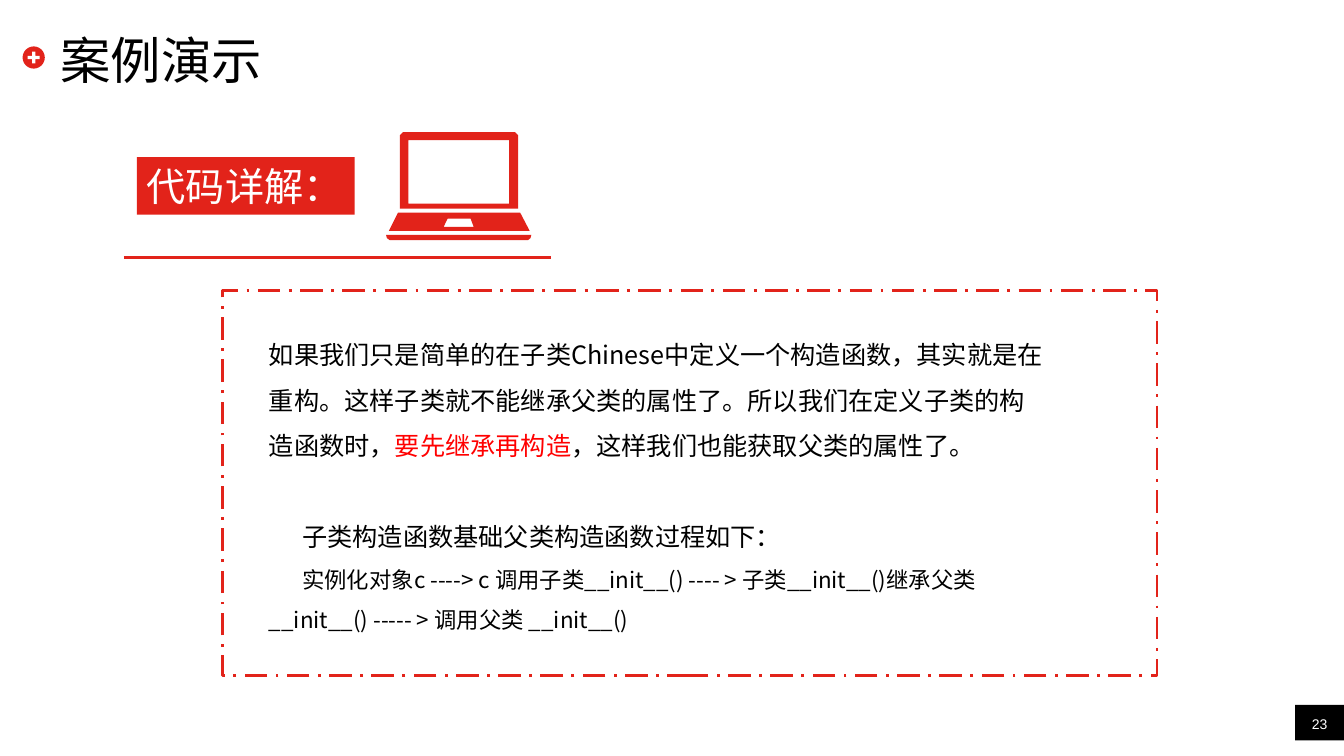
from lxml import etree
from pptx import Presentation
from pptx import util as u
from pptx.dml.color import RGBColor
from pptx.enum import dml, shapes, text
from pptx.oxml.ns import qn

RED = RGBColor(0xE2, 0x23, 0x1A)
ALERT = RGBColor(0xFF, 0, 0)
BLACK = RGBColor(0, 0, 0)
WHITE = RGBColor(0xFF, 0xFF, 0xFF)
CJK = "Noto Sans CJK SC"

deck = Presentation()
deck.slide_width, deck.slide_height = u.Cm(33.87), u.Cm(19.05)
slide = deck.slides.add_slide(deck.slide_layouts[6])
items = slide.shapes


def paint(shape, fill):
    shape.shadow.inherit = False
    shape.fill.solid()
    shape.fill.fore_color.rgb = fill
    shape.line.fill.background()


def style(run, size, color, face=CJK):
    font = run.font
    font.size, font.name, font.color.rgb = u.Pt(size), face, color
    etree.SubElement(run._r.rPr, qn("a:ea")).set("typeface", face)


# Page number
tab = items.add_shape(shapes.MSO_SHAPE.RECTANGLE,
                      u.Cm(32.64), u.Cm(17.76), u.Cm(1.23), u.Cm(0.9))
paint(tab, BLACK)
page = items.add_textbox(u.Cm(32.64), u.Cm(17.76), u.Cm(1.23), u.Cm(0.69))
page.text_frame.text = "23"
page.text_frame.vertical_anchor = text.MSO_ANCHOR.BOTTOM
page.text_frame.paragraphs[0].alignment = text.PP_ALIGN.CENTER
style(page.text_frame.paragraphs[0].runs[0], 10, WHITE, "Arial")

# Title with its plus badge
badge = items.add_shape(shapes.MSO_SHAPE.OVAL,
                        u.Cm(0.57), u.Cm(1.17), u.Cm(0.56), u.Cm(0.56))
paint(badge, RED)
plus = items.add_shape(shapes.MSO_SHAPE.CROSS,
                       u.Cm(0.7), u.Cm(1.3), u.Cm(0.3), u.Cm(0.3))
plus.adjustments[0] = 0.36
paint(plus, WHITE)

title = items.add_textbox(u.Cm(1.52), u.Cm(0.76), u.Cm(30.76), u.Cm(1.45))
title.text_frame.text = "案例演示"
title.text_frame.word_wrap = True
title.text_frame.vertical_anchor = text.MSO_ANCHOR.MIDDLE
style(title.text_frame.paragraphs[0].runs[0], 36, BLACK)

for box in (page, title):
    frame = box.text_frame
    frame.margin_left = frame.margin_right = 0
    frame.margin_top = frame.margin_bottom = 0

# Section label, laptop and rule
label = items.add_shape(shapes.MSO_SHAPE.RECTANGLE,
                        u.Cm(3.45), u.Cm(3.96), u.Cm(5.49), u.Cm(1.45))
paint(label, RED)
label.text_frame.text = "代码详解："
label.text_frame.paragraphs[0].alignment = text.PP_ALIGN.LEFT
style(label.text_frame.paragraphs[0].runs[0], 28, WHITE)

# Contours in hundredths of a centimetre; inner ones are holes
screen = [(1016, 333), (1298, 333), (1306, 341), (1306, 526),
          (1008, 526), (1008, 341)]
glass = [(1029, 353), (1283, 353), (1283, 513), (1029, 513)]
keys = [(1003, 536), (1311, 536), (1335, 582), (980, 582)]
pad = [(1128, 551), (1186, 551), (1194, 572), (1118, 572)]
foot = [(973, 592), (1339, 592), (1337, 600), (1331, 605),
        (982, 605), (975, 600)]
pen = items.build_freeform(*screen[0], scale=u.Cm(0.01))
pen.add_line_segments(screen[1:])
for ring in (glass, keys, pad, foot):
    pen.move_to(*ring[0])
    pen.add_line_segments(ring[1:])
paint(pen.convert_to_shape(), RED)

rule = items.add_connector(shapes.MSO_CONNECTOR.STRAIGHT,
                           u.Cm(3.12), u.Cm(6.48), u.Cm(13.89), u.Cm(6.48))
rule.line.color.rgb, rule.line.width = RED, u.Pt(2.25)
etree.SubElement(rule._element.spPr, qn("a:effectLst"))

# Explanation: runs, size, line pitch, space before, first-line indent
LINES = [
    ([("如果我们只是简单的在子类Chinese中定义一个构造函数，其实就是在重构。"
       "这样子类就不能继承父类的属性了。所以我们在定义子类的构造函数时，", BLACK),
      ("要先继承再构造", ALERT),
      ("，这样我们也能获取父类的属性了。", BLACK)], 18, 32.5, 0, 0),
    ([("子类构造函数基础父类构造函数过程如下：", BLACK)], 18, 32.5, 32.5, 0.84),
    ([("实例化对象c ----> c 调用子类__init__() ---- > 子类__init__()继承父类"
       "__init__() ----- > 调用父类 __init__()", BLACK)], 16, 29, 0, 0.84),
]
body = items.add_textbox(u.Cm(6.53), u.Cm(8.05), u.Cm(20.07), u.Cm(8.2))
frame = body.text_frame
frame.word_wrap = True
for i, (runs, size, pitch, gap, indent) in enumerate(LINES):
    para = frame.add_paragraph() if i else frame.paragraphs[0]
    para.line_spacing = u.Pt(pitch)
    if gap:
        para.space_before = u.Pt(gap)
    para._p.get_or_add_pPr().set("indent", str(u.Cm(indent)))
    for words, color in runs:
        run = para.add_run()
        run.text = words
        style(run, size, color)

border = items.add_shape(shapes.MSO_SHAPE.RECTANGLE,
                         u.Cm(5.61), u.Cm(7.32), u.Cm(23.55), u.Cm(9.7))
border.shadow.inherit = False
border.fill.background()
border.line.color.rgb, border.line.width = RED, u.Pt(2)
border.line.dash_style = dml.MSO_LINE.LONG_DASH_DOT

deck.save("out.pptx")
